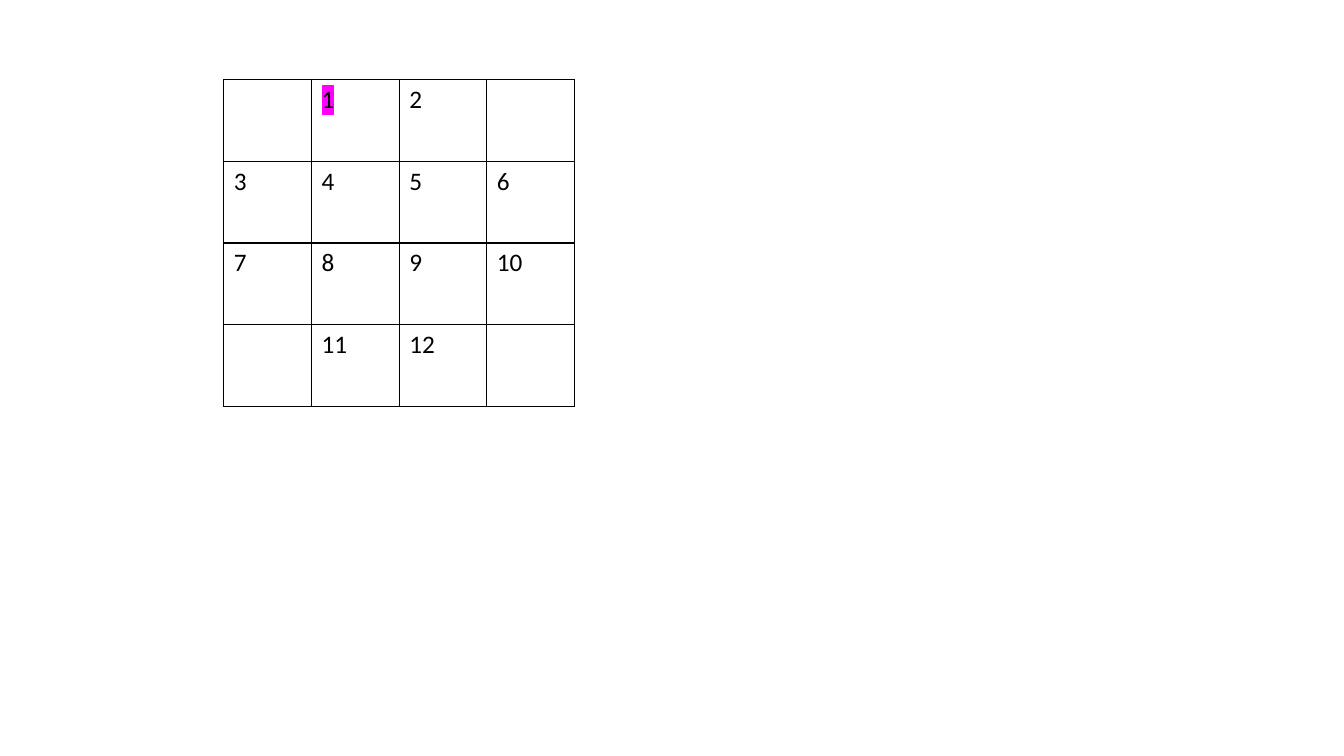
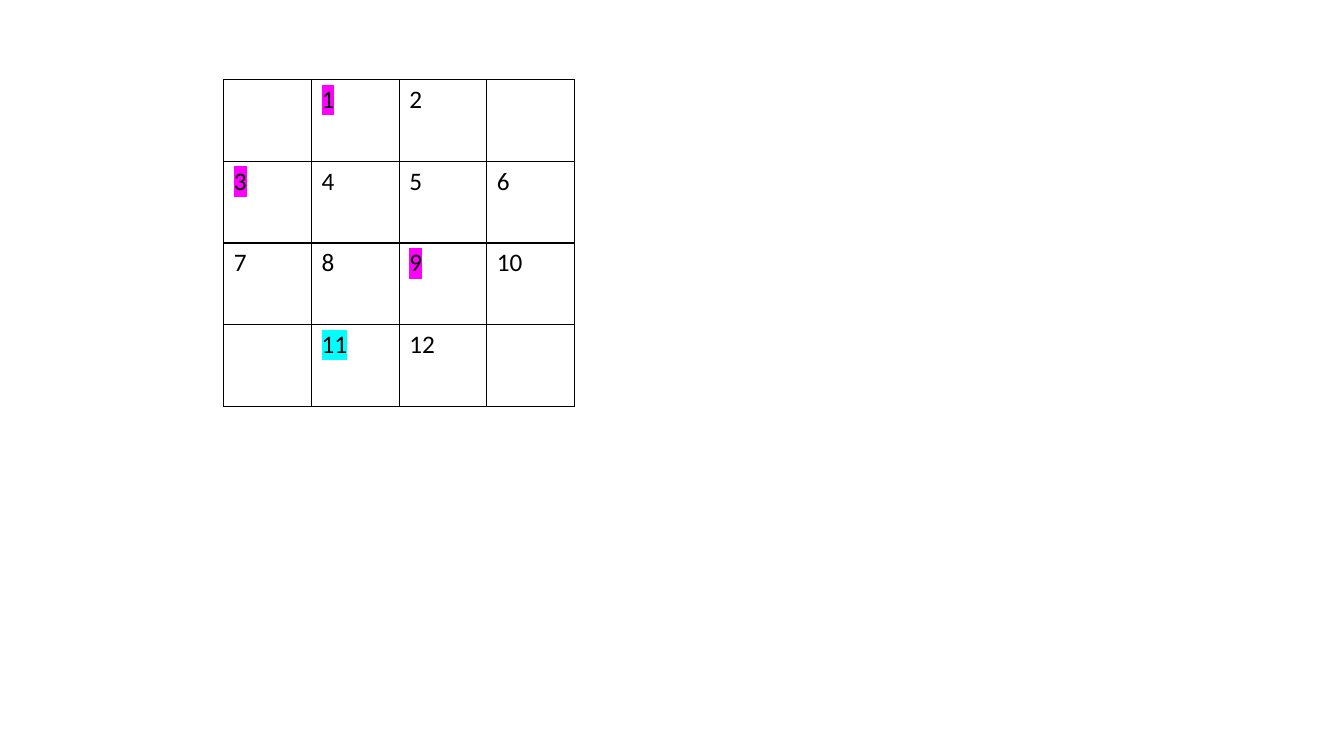
from lxml import etree
from pptx import Presentation
from pptx.dml.color import RGBColor
from pptx.oxml import ns
from pptx.util import Inches, Pt

COLORS = {"ink": "000000", "magenta": "FF00FF", "cyan": "00FFFF"}
FONT = "Calibri"
COL_W, ROW_H = 0.87, 0.81
GRID = [
    ["", "1", "2", ""],
    ["3", "4", "5", "6"],
    ["7", "8", "9", "10"],
    ["", "11", "12", ""],
]
# One entry per slide: number in the grid -> highlight colour
HIGHLIGHTS = [
    {"1": "magenta"},
    {"1": "magenta", "3": "magenta", "9": "magenta", "11": "cyan"},
]


def add_color(parent, tag, color):
    """Append a DrawingML element that holds one RGB colour."""
    el = etree.SubElement(parent, ns.qn(tag))
    etree.SubElement(el, ns.qn("a:srgbClr"), val=COLORS[color])


def add_borders(cell):
    tcPr = cell._tc.get_or_add_tcPr()
    for side in "LRTB":
        ln = etree.SubElement(tcPr, ns.qn(f"a:ln{side}"), w=str(Pt(1)))
        add_color(ln, "a:solidFill", "ink")


prs = Presentation()
prs.slide_width, prs.slide_height = Inches(13.33), Inches(7.5)

for marks in HIGHLIGHTS:
    s = prs.slides.add_slide(prs.slide_layouts[6])
    rows, cols = len(GRID), len(GRID[0])
    table = s.shapes.add_table(rows, cols, Inches(2.22), Inches(0.79),
                               Inches(cols * COL_W), Inches(rows * ROW_H)).table
    table.first_row = table.horz_banding = False
    for col in table.columns:
        col.width = Inches(COL_W)
    for row in table.rows:
        row.height = Inches(ROW_H)

    for row, labels in zip(table.rows, GRID):
        for cell, label in zip(row.cells, labels):
            add_borders(cell)
            cell.fill.background()
            p = cell.text_frame.paragraphs[0]
            p.font.name, p.font.size = FONT, Pt(18)
            p.font.color.rgb = RGBColor.from_string(COLORS["ink"])
            if label:
                r = p.add_run()
                r.text = label
                if label in marks:
                    add_color(r._r.get_or_add_rPr(), "a:highlight", marks[label])

prs.save("out.pptx")
